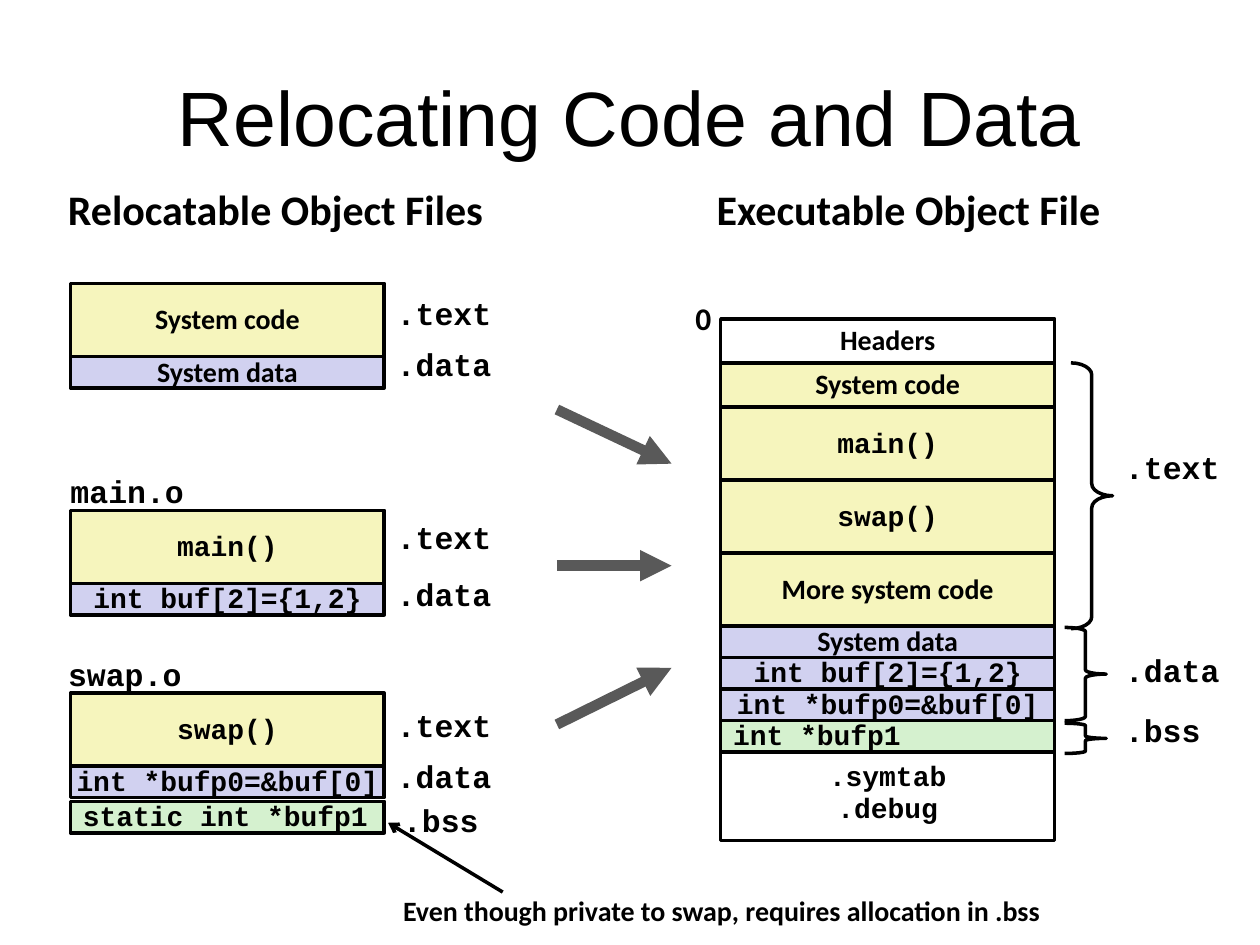
from lxml.etree import SubElement
from pptx import Presentation
from pptx.dml.color import RGBColor
from pptx.enum.shapes import MSO_CONNECTOR, MSO_SHAPE
from pptx.enum.text import MSO_ANCHOR, MSO_AUTO_SIZE, PP_ALIGN
from pptx.oxml.ns import qn
from pptx.util import Inches, Pt

BLACK, WHITE, GRAY = "000000", "FFFFFF", "595959"
CODE, DATA, BSS = "F6F5BD", "D1D1F0", "D5F1CF"
SANS, MONO = "Calibri", "Courier New"
LEFT, CENTER = PP_ALIGN.LEFT, PP_ALIGN.CENTER


def color(value):
    return RGBColor.from_string(value)


def write(tf, text, size=16, font=MONO, bold=True, align=LEFT, spacing=None):
    for i, line in enumerate(text.split("\n")):
        p = tf.paragraphs[0] if i == 0 else tf.add_paragraph()
        p.alignment = align
        p.line_spacing = spacing or (0.94 if font == MONO else 0.98)
        r = p.add_run()
        r.text = line
        r.font.size = Pt(size)
        r.font.name = font
        r.font.bold = bold
        r.font.color.rgb = color(BLACK)


def add_label(s, text, x, y, w, h=0.38, **fmt):
    tf = s.shapes.add_textbox(Inches(x), Inches(y), Inches(w), Inches(h)).text_frame
    tf.word_wrap = False
    tf.auto_size = MSO_AUTO_SIZE.SHAPE_TO_FIT_TEXT
    write(tf, text, **{"size": 18, **fmt})


def add_cell(s, x, y, w, h, text, fill, font=MONO, align=CENTER):
    sp = s.shapes.add_shape(MSO_SHAPE.RECTANGLE, Inches(x), Inches(y), Inches(w), Inches(h))
    sp.shadow.inherit = False
    sp.fill.solid()
    sp.fill.fore_color.rgb = color(fill)
    sp.line.color.rgb = color(BLACK)
    sp.line.width = Pt(2)
    tf = sp.text_frame
    tf.word_wrap = False
    tf.vertical_anchor = MSO_ANCHOR.MIDDLE
    write(tf, text, font=font, align=align)


def add_stack(s, x, y, w, rows):
    cells = []
    for gap, h, *content in rows:
        cells.append((y + gap, h, content))
        y += gap + h
    for top, h, content in reversed(cells):
        add_cell(s, x, top, w, h, *content)


def add_arrow(s, x1, y1, x2, y2, line, width, head):
    c = s.shapes.add_connector(
        MSO_CONNECTOR.STRAIGHT, Inches(x1), Inches(y1), Inches(x2), Inches(y2))
    c.line.color.rgb = color(line)
    c.line.width = Pt(width)
    SubElement(c.line._get_or_add_ln(), qn("a:tailEnd"), type=head)
    SubElement(c._element.spPr, qn("a:effectLst"))


def add_brace(s, x, y, h, curve):
    sp = s.shapes.add_shape(
        MSO_SHAPE.RIGHT_BRACE, Inches(x), Inches(y), Inches(0.33), Inches(h))
    sp.adjustments[0] = curve
    sp.shadow.inherit = False
    sp.fill.background()
    sp.line.color.rgb = color(BLACK)
    sp.line.width = Pt(2)


def add_title(s, x, y, w, h):
    title = s.shapes.title
    title.left, title.top, title.width, title.height = map(Inches, (x, y, w, h))
    title.text_frame.vertical_anchor = MSO_ANCHOR.MIDDLE
    write(title.text_frame, "Relocating Code and Data", size=44, font="Arial",
          bold=False, align=CENTER, spacing=1)


def add_object_file(s, x, y, w, rows, sections, name=None, name_dx=0):
    add_stack(s, x, y, w, rows)
    if name:
        add_label(s, name, x + name_dx, y - 0.33, 1.1, align=CENTER)
    for text, dx, dy, label_w in sections:
        add_label(s, text, x + w + dx, y + dy, label_w)


def add_object_files(s, x, y, w):
    add_label(s, "Relocatable Object Files", x - 0.12, y, 3.51, 0.49, size=24, font=SANS)
    add_object_file(
        s, x, y + 0.82, w,
        [(0, 0.58, "System code", CODE, SANS), (0, 0.25, "System data", DATA, SANS)],
        [(".text", 0, 0.06, 0.95), (".data", 0, 0.46, 0.95)])
    add_object_file(
        s, x, y + 2.62, w,
        [(0, 0.58, "main()", CODE), (0, 0.25, "int buf[2]={1,2}", DATA)],
        [(".text", 0, 0.04, 0.95), (".data", 0, 0.49, 0.95)], "main.o", -0.1)
    add_object_file(
        s, x, y + 4.07, w,
        [(0, 0.58, "swap()", CODE), (0, 0.25, "int *bufp0=&buf[0]", DATA),
         (0.03, 0.25, "static int *bufp1", BSS, MONO, LEFT)],
        [(".text", 0, 0.08, 0.95), (".data", 0, 0.48, 0.95), (".bss", 0.05, 0.83, 0.8)],
        "swap.o", -0.12)


def add_executable(s, x, y, w):
    add_label(s, "Executable Object File", x - 0.13, y, 3.26, 0.49, size=24, font=SANS)
    add_label(s, "0", x - 0.3, y + 0.91, 0.32, 0.4, font=SANS)
    add_stack(s, x, y + 1.1, w, [
        (0, 0.35, "Headers", WHITE, SANS),
        (0, 0.35, "System code", CODE, SANS),
        (0, 0.58, "main()", CODE),
        (0, 0.58, "swap()", CODE),
        (0, 0.58, "More system code", CODE, SANS),
        (0, 0.25, "System data", DATA, SANS),
        (0, 0.25, "int buf[2]={1,2}", DATA),
        (0, 0.25, "int *bufp0=&buf[0]", DATA),
        (0, 0.25, "int *bufp1", BSS, MONO, LEFT),
        (-0.05, 0.75, ".symtab\n.debug", WHITE),
    ])
    side = x + w
    for text, dx, dy, h, curve, label_dy, label_w in [
        (".text", 0.13, 1.45, 2.11, 0.29, 2.1, 0.95),
        (".data", 0.08, 3.55, 0.74, 0.1, 3.71, 0.95),
        (".bss", 0.08, 4.31, 0.24, 0.08, 4.19, 0.8),
    ]:
        add_brace(s, side + dx, y + dy, h, curve)
        add_label(s, text, side + 0.46, y + label_dy, label_w)


def add_flow(s, x, y, w):
    for start, end in [(0, 0.43), (1.24, 1.24), (2.5, 2.05)]:
        add_arrow(s, x, y + start, x + w, y + end, GRAY, 6, "triangle")


def add_note(s, x, y, w):
    add_arrow(s, x + 0.89, y + 0.04, x - 0.02, y - 0.51, BLACK, 2, "arrow")
    add_label(s, "Even though private to swap, requires allocation in .bss",
              x, y, w, 0.37, size=16, font=SANS, spacing=1)


def main():
    prs = Presentation()
    prs.slide_width, prs.slide_height = Inches(10), Inches(7.5)
    s = prs.slides.add_slide(prs.slide_layouts[5])
    add_title(s, 0.5, 0.45, 9, 0.94)
    add_object_files(s, 0.56, 1.43, 2.49)
    add_executable(s, 5.72, 1.43, 2.65)
    add_flow(s, 4.42, 3.25, 0.91)
    add_note(s, 3.1, 7.04, 5.29)
    prs.save("out.pptx")


if __name__ == "__main__":
    main()
